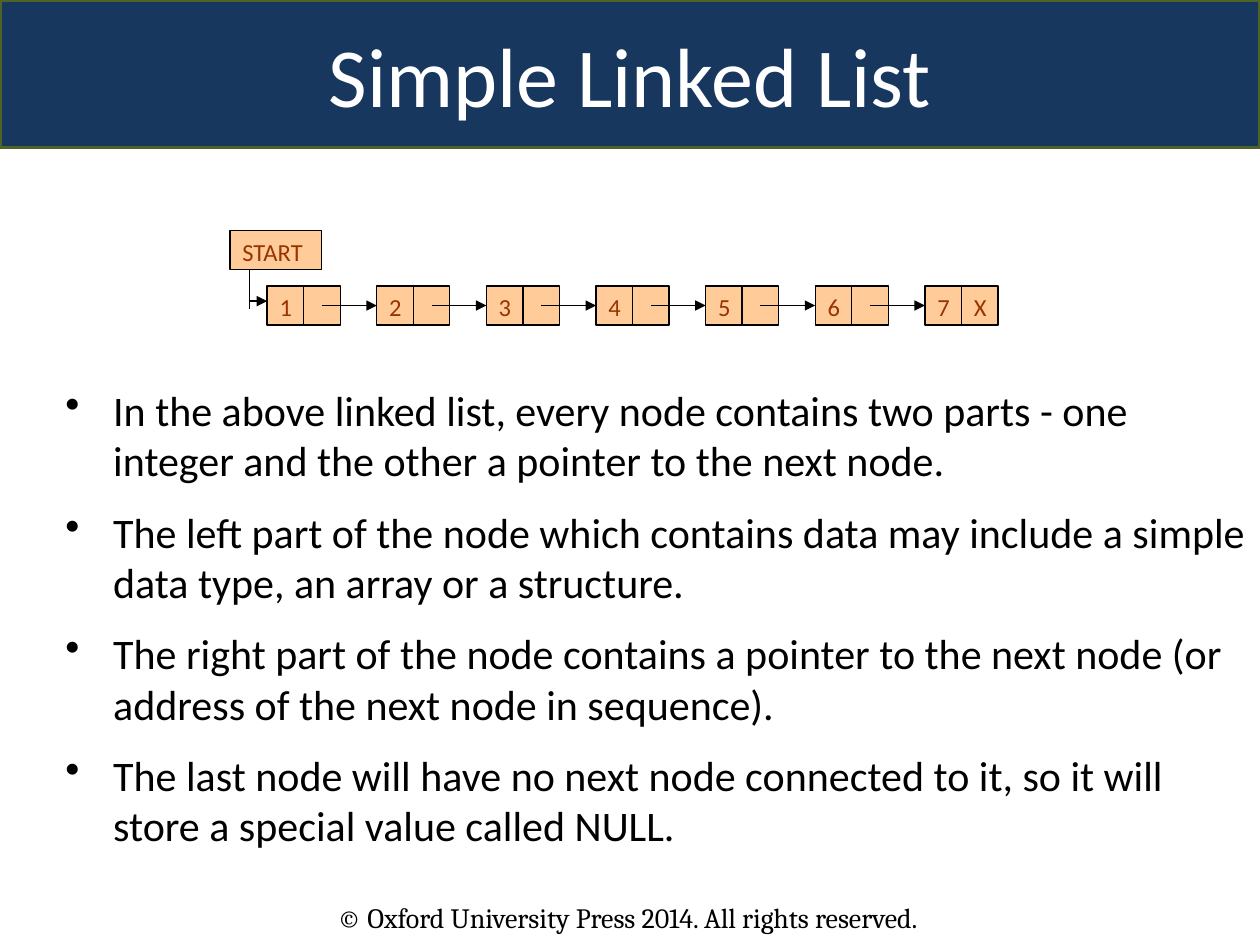
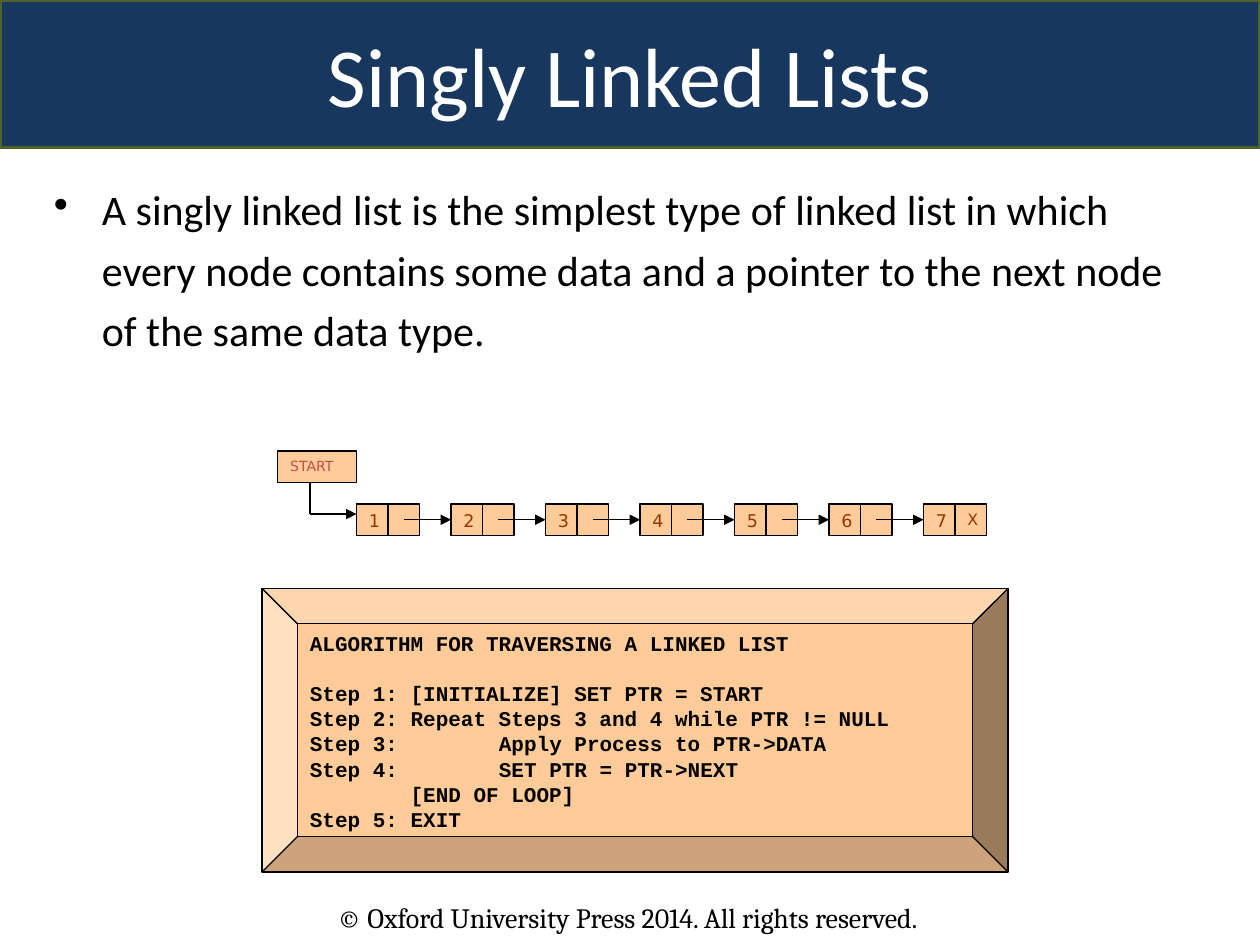
from pptx import Presentation
from pptx.dml.color import RGBColor
from pptx.enum.shapes import MSO_CONNECTOR as Link, MSO_SHAPE as Kind
from pptx.enum.text import MSO_ANCHOR as Anchor, PP_ALIGN as Align
from pptx.oxml.ns import qn
from pptx.util import Inches, Pt
from lxml.etree import SubElement

NAVY = RGBColor(0x17, 0x37, 0x5E)
OLIVE = RGBColor(0x4F, 0x62, 0x28)
PEACH = RGBColor(0xFF, 0xCC, 0x99)
RUST = RGBColor(0x99, 0x33, 0x00)
RED = RGBColor(0xC0, 0x50, 0x4D)
BLACK = RGBColor(0, 0, 0)
WHITE = RGBColor(0xFF, 0xFF, 0xFF)

FOOTER = "© Oxford University Press 2014. All rights reserved."
PARTS = [
    "In the above linked list, every node contains two parts - one integer and the other a pointer to the next node.",
    "The left part of the node which contains data may include a simple data type, an array or a structure.",
    "The right part of the node contains a pointer to the next node (or address of the next node in sequence).",
    "The last node will have no next node connected to it, so it will store a special value called NULL.",
]
SINGLY = [
    "A singly linked list is the simplest type of linked list in which every node contains some data "
    "and a pointer to the next node of the same data type.",
]
HEADING = "ALGORITHM FOR TRAVERSING A LINKED LIST"
STEPS = [
    "Step 1: [INITIALIZE] SET PTR = START",
    "Step 2: Repeat Steps 3 and 4 while PTR != NULL",
    "Step 3: \t\tApply Process to PTR->DATA",
    "Step 4: \t\tSET PTR = PTR->NEXT",
    "        [END OF LOOP]",
    "Step 5: EXIT",
]


def write(frame, text, size=24, font="Calibri", color=BLACK, bold=False,
          align=Align.LEFT, gap=0, pitch=None, bullet=False):
    """Add one formatted paragraph to a text frame."""
    frame.word_wrap = True
    first = not frame.text
    para = frame.paragraphs[0] if first else frame.add_paragraph()
    para.alignment = align
    para.space_before = Pt(0 if first else gap)
    if pitch:
        para.line_spacing = pitch
    if bullet:
        props = para._p.get_or_add_pPr()
        props.set("marL", str(Inches(0.38)))
        props.set("indent", str(-Inches(0.38)))
        SubElement(props, qn("a:buChar")).set("char", "•")
    run = para.add_run()
    run.text = text
    run.font.size = Pt(size)
    run.font.name = font
    run.font.bold = bold
    run.font.color.rgb = color


def block(shapes, kind, box, fill=PEACH, edge=BLACK, width=0.75):
    """Add a filled, outlined shape and return it."""
    shape = shapes.add_shape(kind, *map(Inches, box))
    shape.shadow.inherit = False
    shape.fill.solid()
    shape.fill.fore_color.rgb = fill
    shape.line.color.rgb = edge
    shape.line.width = Pt(width)
    shape.text_frame.vertical_anchor = Anchor.TOP
    return shape


def wire(shapes, start, end, head=True):
    """Draw a thin line, with an arrowhead unless told otherwise."""
    line = shapes.add_connector(Link.STRAIGHT, *map(Inches, start + end))
    line.line.color.rgb = BLACK
    line.line.width = Pt(0.75)
    if head:
        SubElement(line.line._get_or_add_ln(), qn("a:tailEnd")).set("type", "triangle")
    SubElement(line._element.spPr, qn("a:effectLst"))


def base(deck, title):
    """Add a slide with the shared footer and title band."""
    slide = deck.slides.add_slide(deck.slide_layouts[6])
    foot = slide.shapes.add_textbox(*map(Inches, (2.58, 7.1, 5.92, 0.37)))
    write(foot.text_frame, FOOTER, size=16, font="Cambria")
    band = block(slide.shapes, Kind.ROUNDED_RECTANGLE, (0, 0, 10, 1.17), NAVY, OLIVE, 2)
    band.adjustments[0] = 0
    band.text_frame.vertical_anchor = Anchor.MIDDLE
    write(band.text_frame, title, size=48, color=WHITE, align=Align.CENTER)
    return slide


def points(slide, box, items, **form):
    """Add a bulleted list in the given box."""
    frame = slide.shapes.add_textbox(*map(Inches, box)).text_frame
    for item in items:
        write(frame, item, bullet=True, **form)


def chain(slide, box, rise, stem, hook, font, size, end, start, tint):
    """Draw seven linked nodes from the first cell's box, with a START pointer."""
    shapes = slide.shapes.add_group_shape().shapes
    left, top, wide, high = box
    for num in range(1, 8):
        x = left + (num - 1) * 3 * wide
        cell = block(shapes, Kind.RECTANGLE, (x, top, wide, high))
        write(cell.text_frame, str(num), size=size, font=font, color=RUST)
        next_cell = block(shapes, Kind.RECTANGLE, (x + wide, top, wide, high))
        if num < 7:
            mid = top + high / 2
            wire(shapes, (x + 1.5 * wide, mid), (x + 3 * wide, mid))
        else:
            write(next_cell.text_frame, "X", size=end, font=font, color=RUST)
    head = block(shapes, Kind.RECTANGLE, (left - wide * 2.5 + stem[0], top - rise, wide * 2.5, high))
    write(head.text_frame, "START", size=start, font=font, color=tint)
    x, y = left - stem[1], top - rise + high
    wire(shapes, (x, y), (x, y + high), head=False)
    wire(shapes, (x, y + hook), (left, y + hook))


def recipe(slide, box):
    """Add the bevelled panel that holds the algorithm."""
    frame = block(slide.shapes, Kind.BEVEL, box).text_frame
    form = dict(size=12, font="Courier New", bold=True, pitch=Pt(14.4))
    write(frame, HEADING, **form)
    for num, step in enumerate(STEPS):
        write(frame, step, gap=0 if num else 14.4, **form)


def main():
    """Build and save the deck."""
    deck = Presentation()
    deck.slide_width, deck.slide_height = Inches(10), Inches(7.5)

    slide = base(deck, "Simple Linked List")
    chain(slide, (2.12, 2.27, 0.29, 0.31), rise=0.44, stem=(0.43, 0.14), hook=0.25,
          font="Calibri", size=14, end=14, start=14, tint=RUST)
    points(slide, (0.42, 3, 9.58, 3.89), PARTS, gap=12)

    slide = base(deck, "Singly Linked Lists")
    points(slide, (0.33, 1.33, 9.33, 1.68), SINGLY, pitch=1.2)
    chain(slide, (2.83, 4, 0.25, 0.25), rise=0.42, stem=(0, 0.37), hook=0.25,
          font="DejaVu Sans", size=10, end=9, start=8, tint=RED)
    recipe(slide, (2.08, 4.67, 5.92, 2.25))

    deck.save("out.pptx")


if __name__ == "__main__":
    main()
